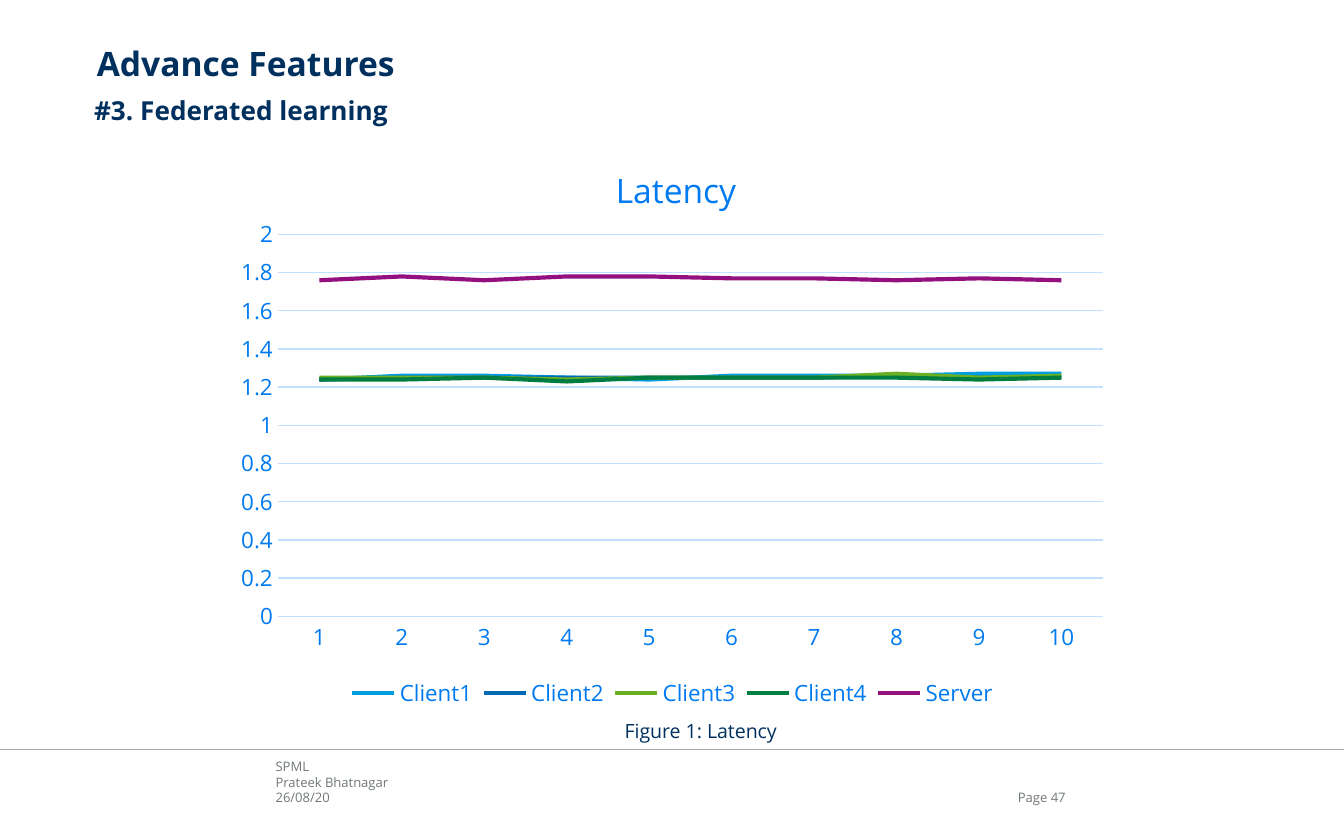
import dataclasses
import pptx
import pptx.chart.data
import pptx.dml.color
import pptx.enum.chart
import pptx.enum.shapes
import pptx.enum.text
import pptx.oxml
import pptx.oxml.ns
import pptx.util

Cm, Pt = pptx.util.Cm, pptx.util.Pt
ALIGN, ANCHOR = pptx.enum.text.PP_ALIGN, pptx.enum.text.MSO_ANCHOR
XL = pptx.enum.chart


@dataclasses.dataclass(frozen=True)
class Theme:
    font: str = "Open Sans"
    ink: str = "00305E"
    chart_text: str = "007AF0"
    grid: str = "C1E0FF"
    rule: str = "A6A6A6"
    footer_text: str = "727879"
    title: float = 18
    subtitle: float = 14
    label: float = 12
    caption: float = 10.5
    footer: float = 7


T = Theme()
LATENCY = {
    "Client1": ("009EE0", (1.24, 1.26, 1.26, 1.25, 1.24, 1.26, 1.26, 1.26, 1.27, 1.27)),
    "Client2": ("006AB3", (1.24, 1.25, 1.25, 1.25, 1.25, 1.25, 1.25, 1.26, 1.25, 1.25)),
    "Client3": ("6AB023", (1.25, 1.25, 1.25, 1.24, 1.25, 1.25, 1.25, 1.27, 1.25, 1.26)),
    "Client4": ("007D40", (1.24, 1.24, 1.25, 1.23, 1.25, 1.25, 1.25, 1.25, 1.24, 1.25)),
    "Server": ("93107E", (1.76, 1.78, 1.76, 1.78, 1.78, 1.77, 1.77, 1.76, 1.77, 1.76)),
}


def rgb(value):
    return pptx.dml.color.RGBColor.from_string(value)


def apply(obj, fmt):
    for name, value in fmt.items():
        setattr(obj, name, value)


def style_font(font, size, color, bold=False):
    apply(font, {"name": T.font, "size": Pt(size), "bold": bold})
    font.color.rgb = rgb(color)


def style_line(line, color, width):
    line.color.rgb = rgb(color)
    line.width = Pt(width)


def write(sp, lines, size, color, bold=False, align=ALIGN.LEFT, spacing=None):
    tf = sp.text_frame
    apply(tf, {"word_wrap": True, "vertical_anchor": ANCHOR.TOP,
               "auto_size": pptx.enum.text.MSO_AUTO_SIZE.NONE,
               "margin_left": 0, "margin_right": 0, "margin_top": 0, "margin_bottom": 0})
    for i, line in enumerate(lines):
        p = tf.add_paragraph() if i else tf.paragraphs[0]
        apply(p, {"alignment": align, "line_spacing": spacing})
        r = p.add_run()
        r.text = line
        style_font(r.font, size, color, bold)


def add_text(s, x, y, w, h, lines, size, color, **fmt):
    sp = s.shapes.add_textbox(Cm(x), Cm(y), Cm(w), Cm(h))
    write(sp, lines, size, color, **fmt)


def add_heading(s, x, y, w):
    sp = s.shapes.title
    apply(sp, {"left": Cm(x + 0.05), "top": Cm(y), "width": Cm(w), "height": Cm(0.95)})
    write(sp, ["Advance Features"], T.title, T.ink, bold=True)
    add_text(s, x, y + 0.97, w, 1.07, ["#3. Federated learning"],
             T.subtitle, T.ink, bold=True)


def set_layout(parent, index, inner=False, **fractions):
    for old in parent.findall(pptx.oxml.ns.qn("c:layout")):
        parent.remove(old)
    target = '<c:layoutTarget val="inner"/>' if inner else ""
    modes = '<c:xMode val="edge"/><c:yMode val="edge"/>'
    values = "".join(f'<c:{k} val="{v}"/>' for k, v in fractions.items())
    parent.insert(index, pptx.oxml.parse_xml(
        f'<c:layout {pptx.oxml.ns.nsdecls("c")}><c:manualLayout>'
        f'{target}{modes}{values}</c:manualLayout></c:layout>'))


def style_axes(chart):
    for axis in (chart.category_axis, chart.value_axis):
        axis.major_tick_mark = axis.minor_tick_mark = XL.XL_TICK_MARK.NONE
        style_font(axis.tick_labels.font, T.label, T.chart_text)
    style_line(chart.category_axis.format.line, T.grid, 0.75)
    axis = chart.value_axis
    apply(axis, {"minimum_scale": 0, "maximum_scale": 2, "major_unit": 0.2,
                 "has_major_gridlines": True})
    apply(axis.tick_labels, {"number_format": "General", "number_format_is_linked": False})
    axis.format.line.fill.background()
    style_line(axis.major_gridlines.format.line, T.grid, 0.75)


def add_latency_chart(s, x, y, w, h):
    data = pptx.chart.data.CategoryChartData(number_format="0.00")
    data.categories = [str(n) for n in range(1, 11)]
    for name, (_, values) in LATENCY.items():
        data.add_series(name, values)
    chart = s.shapes.add_chart(XL.XL_CHART_TYPE.LINE, Cm(x), Cm(y), Cm(w), Cm(h), data).chart
    style_font(chart.font, T.label, T.chart_text)
    chart.has_title = chart.has_legend = True
    tf = chart.chart_title.text_frame
    tf.text = "Latency"
    style_font(tf.paragraphs[0].runs[0].font, T.title, T.chart_text)
    chart.chart_title.include_in_layout = False
    apply(chart.legend, {"position": XL.XL_LEGEND_POSITION.BOTTOM, "include_in_layout": False})
    style_font(chart.legend.font, T.label, T.chart_text)
    style_axes(chart)
    chart.plots[0].vary_by_categories = False
    for series, (color, _) in zip(chart.plots[0].series, LATENCY.values()):
        series.smooth = False
        series.marker.style = XL.XL_MARKER_STYLE.NONE
        style_line(series.format.line, color, 2.25)
    root = chart.element
    set_layout(root.xpath("c:chart/c:plotArea")[0], 0, True, x=0.06, y=0.19, w=0.92, h=0.64)
    set_layout(root.xpath("c:chart/c:title")[0], 1, x=0.43, y=0.06)
    set_layout(root.xpath("c:chart/c:legend")[0], 1, x=0.13, y=0.94, w=0.74, h=0.06)
    add_text(s, x + 5.74, y + h + 0.03, 6.53, 0.48, ["Figure 1: Latency"],
             T.caption, T.ink, align=ALIGN.CENTER)


def add_footer(s, x, y, w):
    line = s.shapes.add_connector(pptx.enum.shapes.MSO_CONNECTOR.STRAIGHT,
                                  Cm(x), Cm(y), Cm(x + w), Cm(y))
    style_line(line.line, T.rule, 1)
    line.element.spPr.append(pptx.oxml.parse_xml(
        f'<a:effectLst {pptx.oxml.ns.nsdecls("a")}/>'))
    spacing = Pt(8.3)
    add_text(s, x + 5.21, y + 0.18, 10.82, 0.9, ["SPML", "Prateek Bhatnagar", "26/08/20"],
             T.footer, T.footer_text, spacing=spacing)
    add_text(s, x + 18.67, y + 0.75, 1.47, 0.33, ["Page 47"],
             T.footer, T.footer_text, align=ALIGN.RIGHT, spacing=spacing)


def main():
    prs = pptx.Presentation()
    apply(prs, {"slide_width": Cm(25.4), "slide_height": Cm(15.88)})
    s = prs.slides.add_slide(prs.slide_layouts[5])
    add_footer(s, 0, 14.17, 25.4)
    add_heading(s, 1.78, 0.81, 22.05)
    add_latency_chart(s, 4.24, 2.29, 16.94, 11.28)
    prs.save("out.pptx")


if __name__ == "__main__":
    main()
